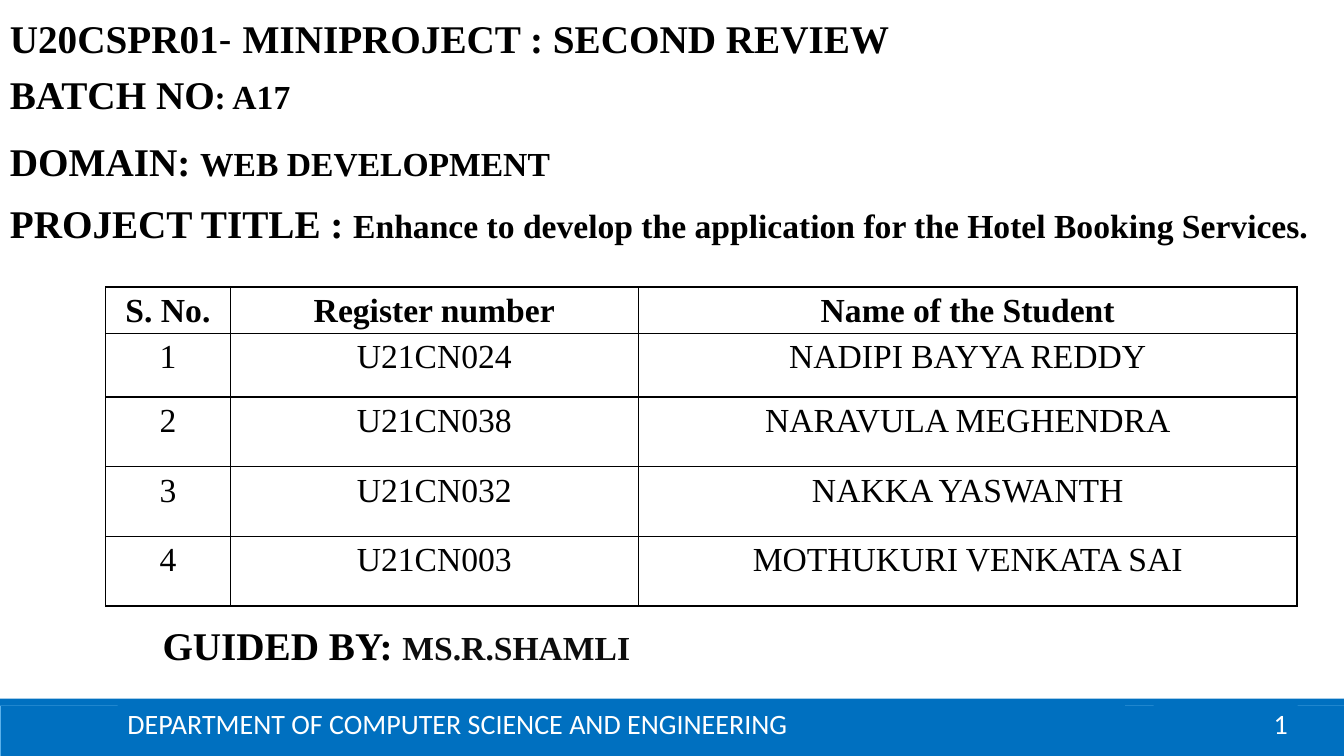
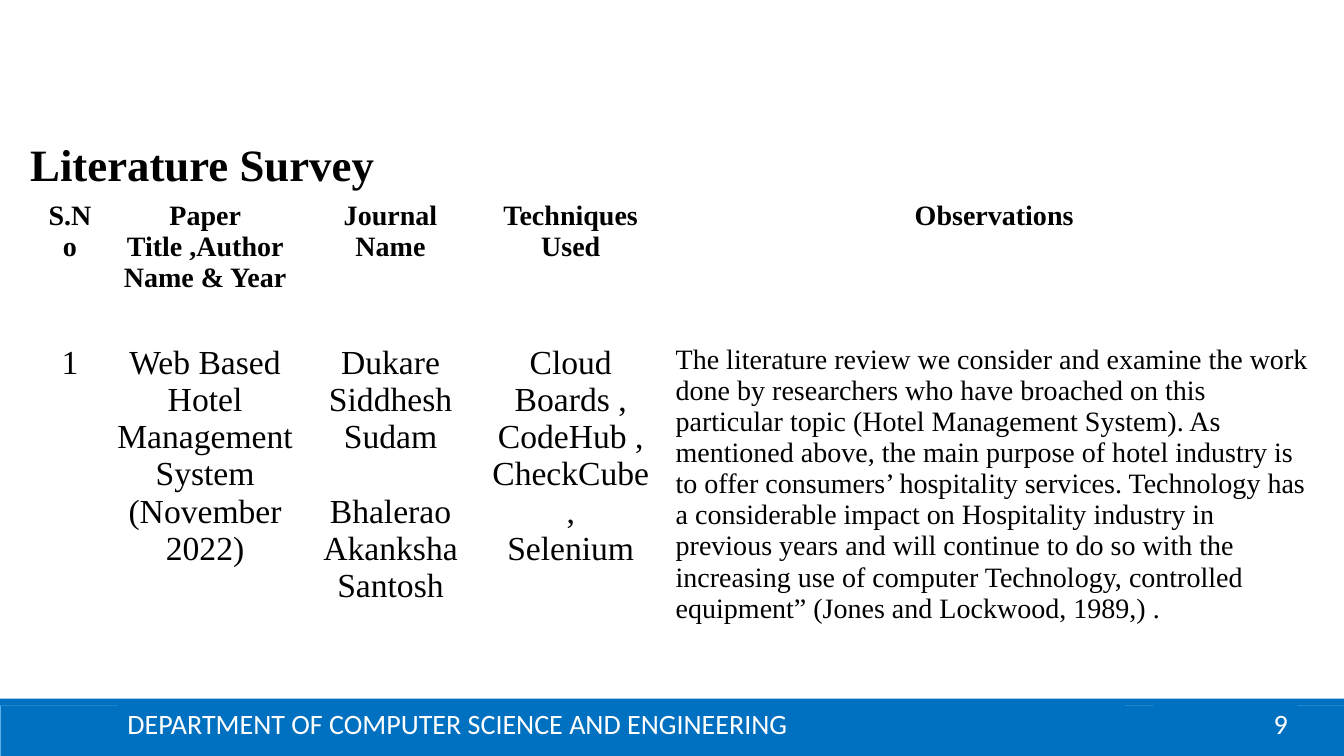
from lxml.etree import SubElement
from pptx import Presentation
from pptx.dml.color import RGBColor
from pptx.enum.shapes import MSO_SHAPE as Shape
from pptx.enum.text import MSO_ANCHOR as Anchor, PP_ALIGN as Align
from pptx.oxml.ns import qn
from pptx.util import Pt

WIDTH, HEIGHT = 960, 540
BLUE, LIGHT_BLUE, WHITE, BLACK, NEAR_BLACK = "0070C0", "5BB0EA", "FFFFFF", "000000", "0D0D0D"
SERIF, SANS, DASH_FONT = "Times New Roman", "Calibri", "Arial"
DEPARTMENT = "DEPARTMENT OF COMPUTER SCIENCE AND ENGINEERING"

PROJECT_LINES = [
    ((0, 6.5, 676), [("U20CSPR01", {}), ("- ", {"font": DASH_FONT, "bold": False}),
                     ("MINIPROJECT : SECOND REVIEW", {})]),
    ((0, 47, 284), [("BATCH NO", {}), (": A17", {"size": 24})]),
    ((0, 94.5, 405), [("DOMAIN: ", {}), ("WEB DEVELOPMENT", {"size": 24})]),
    ((0, 139, WIDTH), [("PROJECT TITLE : ", {}),
                       ("Enhance to develop the application for the Hotel Booking Services.", {"size": 24})]),
    ((109, 440, 406), [("GUIDED BY: ", {}), ("MS.R.SHAMLI", {"size": 24, "color": NEAR_BLACK})]),
]
STUDENTS = [
    ["S. No.", "Register number", "Name of the Student"],
    ["1", "U21CN024", "NADIPI BAYYA REDDY"],
    ["2", "U21CN038", "NARAVULA MEGHENDRA"],
    ["3", "U21CN032", "NAKKA YASWANTH"],
    ["4", "U21CN003", "MOTHUKURI VENKATA SAI"],
]
SURVEY = [
    ["S.No", "Paper Title ,Author Name & Year", "Journal Name", "Techniques Used", "Observations"],
    ["1",
     "Web Based Hotel Management System\n(November 2022)",
     "Dukare Siddhesh Sudam\nBhalerao Akanksha Santosh",
     "Cloud\nBoards ,\nCodeHub ,\nCheckCube ,\nSelenium",
     "The literature review we consider and examine the work done by researchers who have broached "
     "on this particular topic (Hotel Management System). As mentioned above, the main purpose of "
     "hotel industry is to offer consumers’ hospitality services. Technology has a considerable "
     "impact on Hospitality industry in previous years and will continue to do so with the "
     "increasing use of computer Technology, controlled equipment” (Jones and Lockwood, 1989,) ."],
]


def rgb(value):
    """Return the colour for a hex string."""
    return RGBColor.from_string(value)


def style_run(run, size=28, font=SERIF, bold=True, color=BLACK):
    """Set the font of one run."""
    run.font.size, run.font.name, run.font.bold = Pt(size), font, bold
    run.font.color.rgb = rgb(color)


def style_frame(frame, align=Align.LEFT, spacing=1.0, **style):
    """Format every paragraph and run of a text frame alike."""
    for paragraph in frame.paragraphs:
        paragraph.alignment, paragraph.line_spacing = align, spacing
        for run in paragraph.runs:
            style_run(run, **style)


def add_text(slide, left, top, width, height=41):
    """Add an empty wrapping text box and return its frame."""
    frame = slide.shapes.add_textbox(Pt(left), Pt(top), Pt(width), Pt(height)).text_frame
    frame.word_wrap = True
    return frame


def add_bar(slide, left, top, width, height, line=None):
    """Add a blue rectangle with an optional hairline."""
    bar = slide.shapes.add_shape(Shape.RECTANGLE, Pt(left), Pt(top), Pt(width), Pt(height))
    bar.shadow.inherit = False
    bar.fill.solid()
    bar.fill.fore_color.rgb = rgb(BLUE)
    if line:
        bar.line.color.rgb, bar.line.width = rgb(line), Pt(0.5)
    else:
        bar.line.fill.background()
    return bar


def add_footer(slide, number):
    """Draw the footer bands, department name and page number."""
    add_bar(slide, 0, 504, WIDTH, 36, LIGHT_BLUE)
    add_bar(slide, 0, 499, WIDTH, 5)
    for left, width, text, align in ((824, 103, str(number), Align.RIGHT),
                                     (84, 719.5, DEPARTMENT, Align.LEFT)):
        frame = add_bar(slide, left, 502.5, width, 28.5).text_frame
        frame.text = text
        frame.vertical_anchor = Anchor.MIDDLE
        style_frame(frame, align, size=20, font=SANS, bold=False, color=WHITE)


def add_borders(cell):
    """Give a cell thin black borders on all sides."""
    properties = cell._tc.get_or_add_tcPr()
    for index, side in enumerate(("a:lnL", "a:lnR", "a:lnT", "a:lnB")):
        line = properties.makeelement(qn(side), {"w": str(Pt(1))})
        fill = SubElement(line, qn("a:solidFill"))
        SubElement(fill, qn("a:srgbClr"), val=BLACK)
        properties.insert(index, line)


def add_grid(slide, rows, left, top, widths, heights):
    """Add an unfilled table and yield each cell with its row and column."""
    table = slide.shapes.add_table(len(rows), len(widths), Pt(left), Pt(top),
                                   Pt(sum(widths)), Pt(sum(heights))).table
    table.first_row = table.horz_banding = False
    for column, width in zip(table.columns, widths):
        column.width = Pt(width)
    for row, height in zip(table.rows, heights):
        row.height = Pt(height)
    for row, texts in enumerate(rows):
        for column, text in enumerate(texts):
            cell = table.cell(row, column)
            cell.fill.background()
            cell.text_frame.text = text
            yield row, column, cell


def build_project(slide):
    """Fill the project slide."""
    for place, parts in PROJECT_LINES:
        paragraph = add_text(slide, *place).paragraphs[0]
        for text, style in parts:
            run = paragraph.add_run()
            run.text = text
            style_run(run, **style)
    heights = [29.5, 45.5] + [49.75] * 3
    for row, _, cell in add_grid(slide, STUDENTS, 75.5, 205, [89, 291.5, 470.5], heights):
        cell.margin_left = cell.margin_right = Pt(5)
        cell.margin_top = cell.margin_bottom = 0
        style_frame(cell.text_frame, Align.CENTER, 1.15, size=24, bold=row == 0)
        add_borders(cell)


def build_survey(slide):
    """Fill the literature survey slide."""
    frame = add_text(slide, 14.5, 75, 789, 62)
    frame.text = "Literature Survey"
    style_frame(frame, spacing=1.5, size=32)
    widths = [50, 143, 122, 135.5, 469.5]
    for row, column, cell in add_grid(slide, SURVEY, 25, 139.5, widths, [103, 254]):
        observation = row == 1 and column == 4
        style_frame(cell.text_frame, Align.LEFT if observation else Align.CENTER,
                    size=20 if row == 0 or observation else 24, bold=row == 0)
        if row == 1 and column == 2:
            cell.text_frame.paragraphs[1].space_before = Pt(27)


def main():
    """Build and save the presentation."""
    presentation = Presentation()
    presentation.slide_width, presentation.slide_height = Pt(WIDTH), Pt(HEIGHT)
    for number, build in ((1, build_project), (9, build_survey)):
        slide = presentation.slides.add_slide(presentation.slide_layouts[6])
        add_footer(slide, number)
        build(slide)
    presentation.save("out.pptx")


if __name__ == "__main__":
    main()
